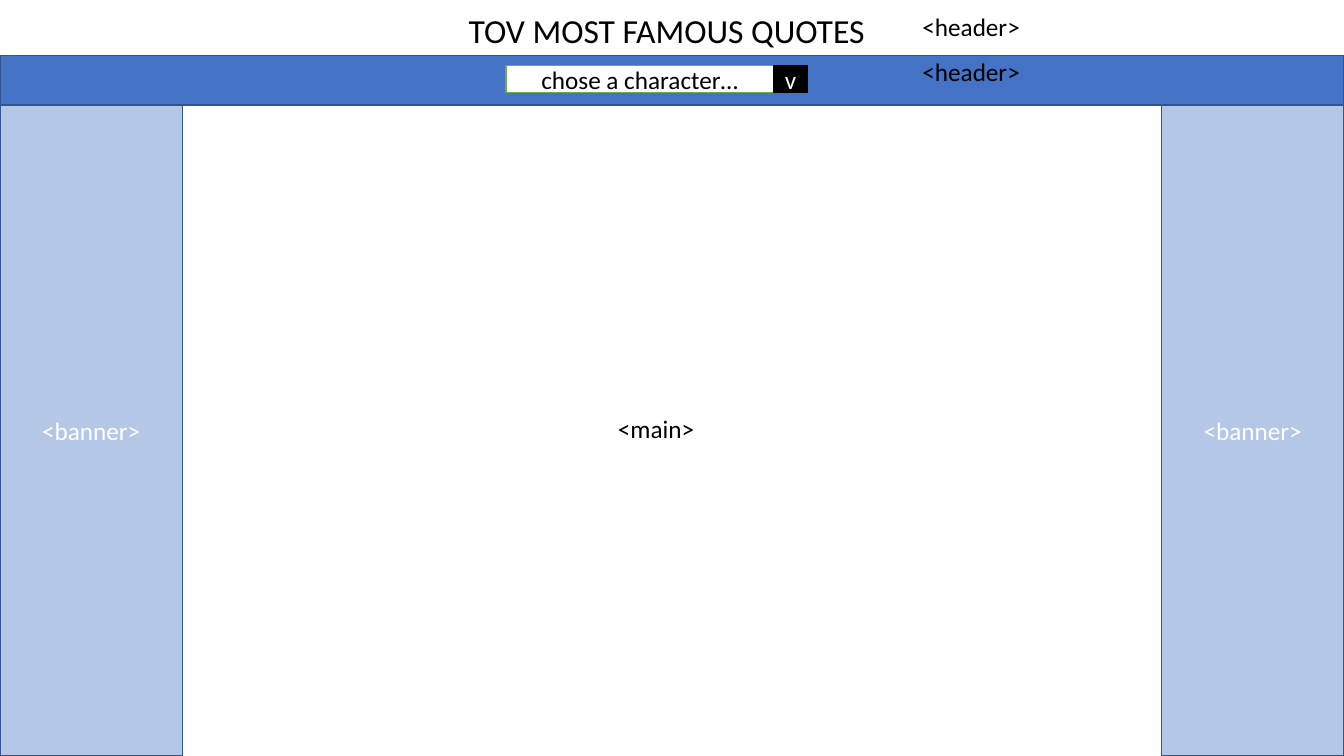
from pptx import Presentation
from pptx.dml.color import RGBColor
from pptx.enum.shapes import MSO_SHAPE
from pptx.enum.text import MSO_ANCHOR, PP_ALIGN
from pptx.util import Inches, Pt

BLUE = RGBColor(0x44, 0x72, 0xC4)
PALE_BLUE = RGBColor(0xB4, 0xC7, 0xE7)
NAVY = RGBColor(0x32, 0x54, 0x91)
GREEN = RGBColor(0x70, 0xAD, 0x47)
WHITE = RGBColor(0xFF, 0xFF, 0xFF)
BLACK = RGBColor(0, 0, 0)

SLIDE_WIDTH, SLIDE_HEIGHT = 13.33, 7.5
BAR_TOP = 0.55
BANNER_TOP, BANNER_WIDTH = 1.04, 1.81
BANNER_HEIGHT = SLIDE_HEIGHT - BANNER_TOP
PICKER_LEFT, PICKER_TOP, PICKER_WIDTH, PICKER_HEIGHT = 5.02, 0.65, 2.65, 0.27
LABEL_SIZE = (1.48, 0.4)

BANNERS = [
    ("<banner>", (left, BANNER_TOP, BANNER_WIDTH, BANNER_HEIGHT), PALE_BLUE, NAVY, WHITE)
    for left in (0, SLIDE_WIDTH - BANNER_WIDTH)
]
BOXES = [
    ("", (0, BAR_TOP, SLIDE_WIDTH, BANNER_TOP - BAR_TOP), BLUE, NAVY, WHITE),
    *BANNERS,
    ("chose a character…", (PICKER_LEFT, PICKER_TOP, PICKER_WIDTH, PICKER_HEIGHT),
     WHITE, GREEN, BLACK),
    ("v", (PICKER_LEFT + PICKER_WIDTH, PICKER_TOP, 0.34, PICKER_HEIGHT),
     BLACK, BLACK, WHITE),
]
LABELS = [
    ("TOV MOST FAMOUS QUOTES", (4.55, 0.05, 4.24, 0.5), 24),
    ("<main>", (6.03, 4.05, *LABEL_SIZE), 18),
    ("<header>", (9.05, 0.51, *LABEL_SIZE), 18),
    ("<header>", (9.05, 0.06, *LABEL_SIZE), 18),
]


def write(frame, words, points, color, align, anchor):
    frame.word_wrap = True
    frame.vertical_anchor = anchor
    paragraph = frame.paragraphs[0]
    paragraph.alignment = align
    run = paragraph.add_run()
    run.text = words
    for attribute, value in {"name": "Calibri", "size": Pt(points)}.items():
        setattr(run.font, attribute, value)
    run.font.color.rgb = color


def main():
    deck = Presentation()
    deck.slide_width, deck.slide_height = Inches(SLIDE_WIDTH), Inches(SLIDE_HEIGHT)
    slide = deck.slides.add_slide(deck.slide_layouts[6])

    for words, place, fill, outline, ink in BOXES:
        box = slide.shapes.add_shape(MSO_SHAPE.RECTANGLE, *map(Inches, place))
        box.shadow.inherit = False
        box.fill.solid()
        box.fill.fore_color.rgb = fill
        box.line.color.rgb = outline
        box.line.width = Pt(1)
        if words:
            write(box.text_frame, words, 18, ink, PP_ALIGN.CENTER, MSO_ANCHOR.MIDDLE)

    for words, place, points in LABELS:
        label = slide.shapes.add_textbox(*map(Inches, place))
        write(label.text_frame, words, points, BLACK, PP_ALIGN.LEFT, MSO_ANCHOR.TOP)

    deck.save("out.pptx")


if __name__ == "__main__":
    main()
